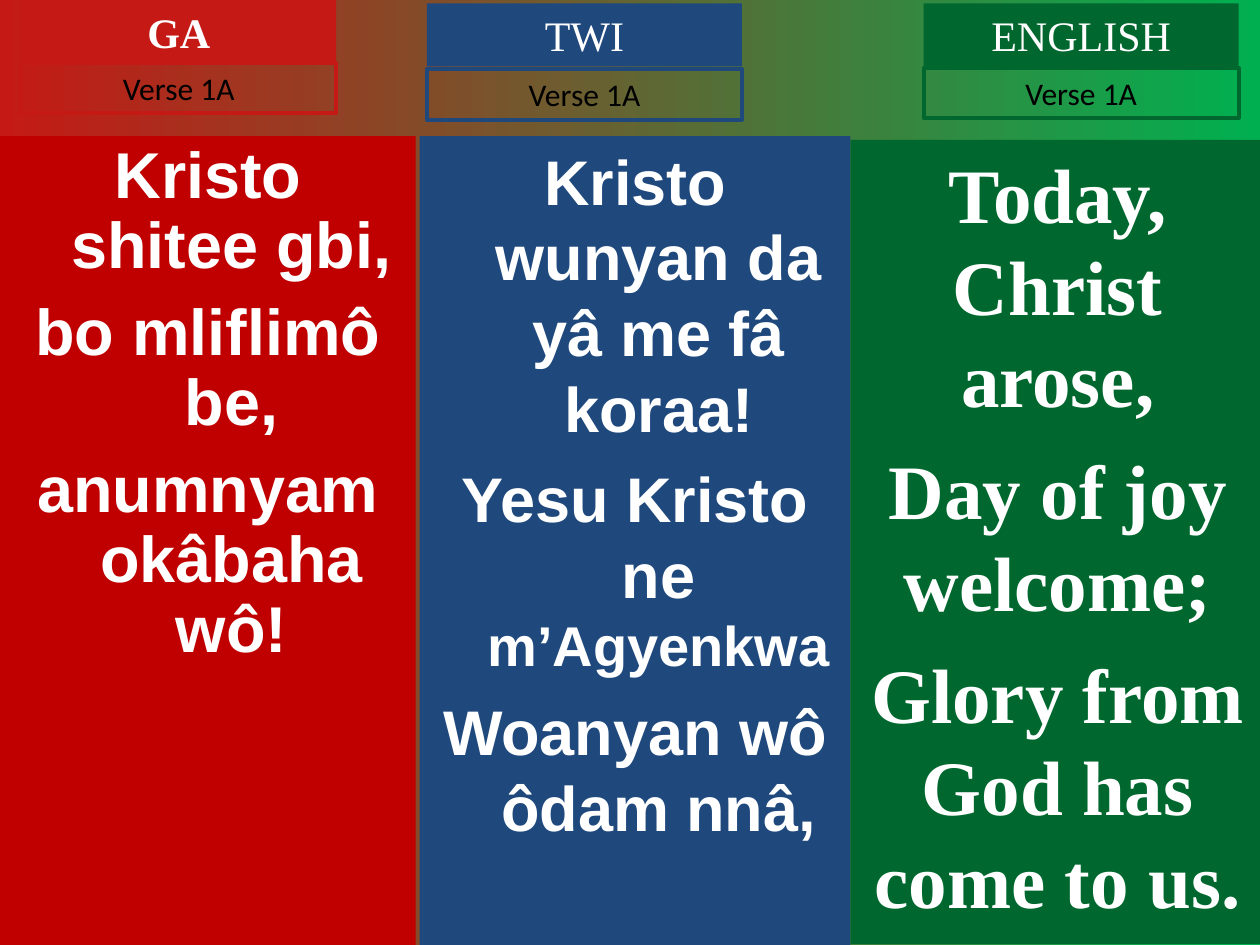
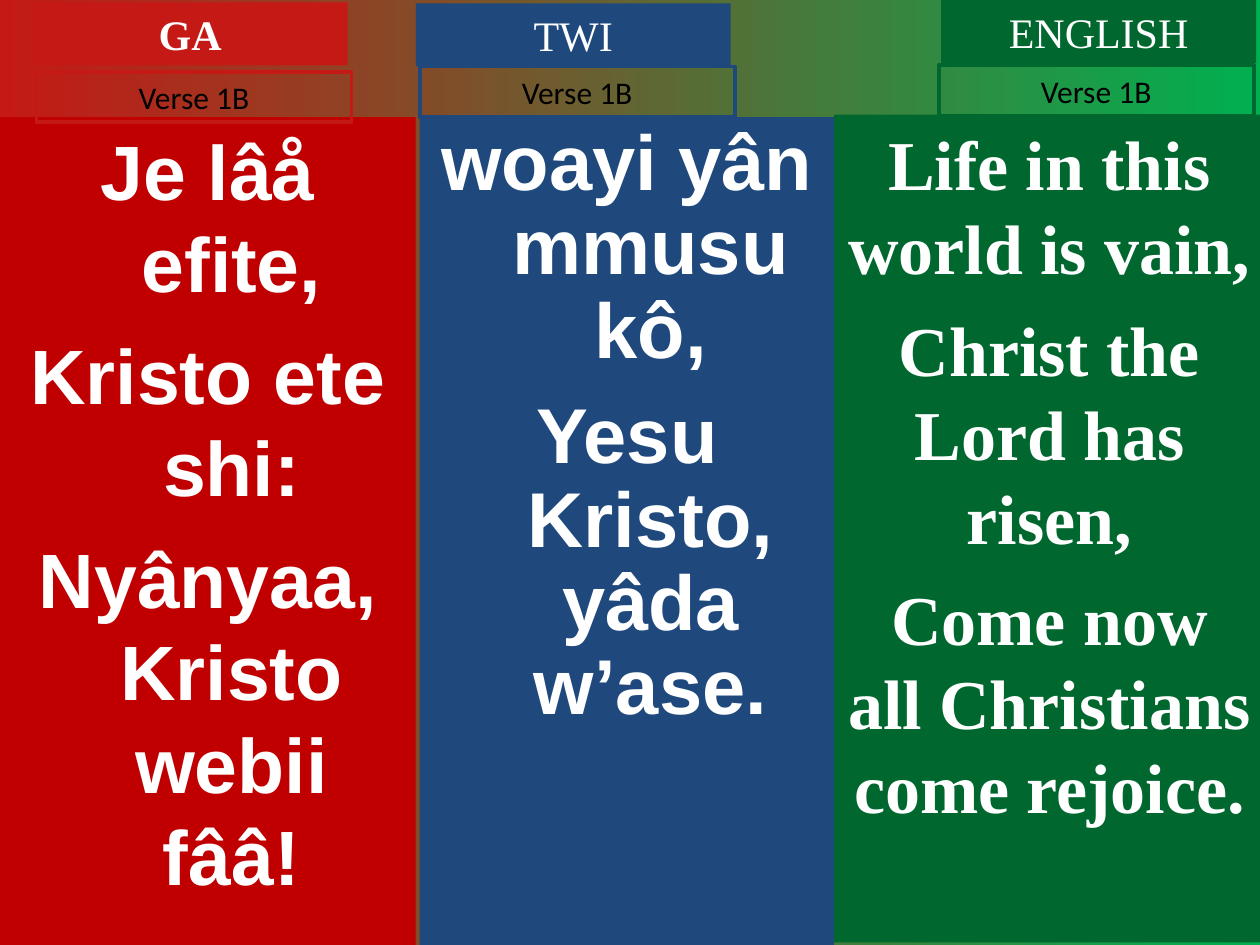
from dataclasses import dataclass
from pptx import Presentation
from pptx.dml.color import RGBColor
from pptx.enum.shapes import MSO_SHAPE
from pptx.enum.text import MSO_ANCHOR, MSO_AUTO_SIZE, PP_ALIGN
from pptx.util import Pt


# Shared colours, fonts and sizes
@dataclass(frozen=True)
class Theme:
    white: str = "FFFFFF"
    black: str = "000000"
    fade: tuple = ("C51915", "00B050")
    heading_font: str = "Times New Roman"
    verse_font: str = "Calibri"
    heading_size: float = 24
    verse_size: float = 18
    outline: float = 2.25
    hanging: float = 27
    tag_width: float = 180
    heading_height: float = 36
    verse_height: float = 28.8


@dataclass(frozen=True)
class Language:
    name: str
    panel_color: str
    tag_color: str
    lyric_font: str
    bold_name: bool = False
    hanging: bool = True


# One column of lyrics; places are in points
@dataclass(frozen=True)
class Column:
    panel: tuple
    heading_at: tuple
    verse_at: tuple
    size: float
    lines: tuple
    space_before: float
    line_spacing: float = 1.0


LANGUAGES = (
    Language("GA", "C00000", "C51915", "Arial", bold_name=True),
    Language("TWI", "1F497D", "1F497D", "Arial"),
    Language("ENGLISH", "00682F", "00682F", "Times New Roman", hanging=False),
)

# A line is a text, or a list of (text, size) spans
VERSES = {
    "Verse 1A": (
        Column((0, 77.8, 237.6, 462.2), (12.2, 0), (12.2, 36), 37,
               ("Kristo shitee gbi,", "bo mliflimô be,", "anumnyam okâbaha wô!"), 10, 0.9),
        Column((239.8, 77.8, 246.2, 462.2), (244, 2), (244, 39.6), 36,
               ("Kristo wunyan da yâ me fâ koraa!",
                [("Yesu Kristo ne ", 36), ("m’Agyenkwa", 32)],
                "Woanyan wô ôdam nnâ,"), 8.5),
        Column((486, 80, 236.9, 459.4), (527.8, 2), (527.8, 38.9), 44,
               ("Today, Christ arose,", "Day of joy welcome;",
                "Glory from God has come to us."), 11),
    ),
    "Verse 1B": (
        Column((0, 67, 237.6, 473), (18.7, 1.4), (20.9, 41), 44,
               ("Je lâå efite,", "Kristo ete shi:", "Nyânyaa, Kristo webii fââ!"), 11),
        Column((239.8, 67, 236.9, 473), (237.6, 2), (239.8, 38), 44.4,
               ("woayi yân mmusu kô,", "Yesu Kristo, yâda w’ase."), 12, 0.9),
        Column((476.6, 65.5, 246.2, 473), (537.8, 0), (536.4, 37.4), 40,
               ("Life in this world is vain,", "Christ the Lord has risen,",
                "Come now all Christians come rejoice."), 10),
    ),
}


def apply(target, values):
    for name, value in values.items():
        setattr(target, name, value)


class SongDeck:
    def __init__(self, theme):
        self.theme = theme
        self.deck = Presentation()
        apply(self.deck, {"slide_width": Pt(720), "slide_height": Pt(540)})
        self.page = None

    def add_page(self):
        self.page = self.deck.slides.add_slide(self.deck.slide_layouts[6])
        fill = self.page.background.fill
        fill.gradient()
        fill.gradient_angle = 0
        for position, (stop, color) in enumerate(zip(fill.gradient_stops, self.theme.fade)):
            stop.color.rgb = RGBColor.from_string(color)
            stop.position = position

    def add_box(self, place, fill=None, line=None, grow=False):
        box = self.page.shapes.add_shape(MSO_SHAPE.RECTANGLE, *map(Pt, place))
        box.shadow.inherit = False
        if fill:
            box.fill.solid()
            box.fill.fore_color.rgb = RGBColor.from_string(fill)
        else:
            box.fill.background()
        if line:
            box.line.color.rgb = RGBColor.from_string(line)
            box.line.width = Pt(self.theme.outline)
        else:
            box.line.fill.background()
        apply(box.text_frame, {
            "word_wrap": True, "vertical_anchor": MSO_ANCHOR.TOP,
            "auto_size": MSO_AUTO_SIZE.SHAPE_TO_FIT_TEXT if grow else MSO_AUTO_SIZE.NONE})
        return box

    def add_span(self, para, text, size, font, color, bold=False):
        span = para.add_run()
        span.text = text
        apply(span.font, {"size": Pt(size), "name": font, "bold": bold})
        span.font.color.rgb = RGBColor.from_string(color)

    def add_tag(self, at, height, text, size, font, color, bold=False, **look):
        box = self.add_box((*at, self.theme.tag_width, height), grow=True, **look)
        para = box.text_frame.paragraphs[0]
        para.alignment = PP_ALIGN.CENTER
        self.add_span(para, text, size, font, color, bold)

    def add_lyrics(self, column, language):
        frame = self.add_box(column.panel, fill=language.panel_color).text_frame
        for index, line in enumerate(column.lines):
            para = frame.add_paragraph() if index else frame.paragraphs[0]
            apply(para, {"alignment": PP_ALIGN.CENTER, "line_spacing": column.line_spacing,
                         "space_before": Pt(column.space_before if index else 0)})
            if language.hanging:
                properties = para._p.get_or_add_pPr()
                properties.set("marL", str(Pt(self.theme.hanging)))
                properties.set("indent", str(-Pt(self.theme.hanging)))
            spans = [(line, column.size)] if isinstance(line, str) else line
            for text, size in spans:
                self.add_span(para, text, size, language.lyric_font, self.theme.white, True)

    def add_column(self, column, language, verse):
        theme = self.theme
        self.add_lyrics(column, language)
        self.add_tag(column.heading_at, theme.heading_height, language.name,
                     theme.heading_size, theme.heading_font, theme.white,
                     language.bold_name, fill=language.tag_color)
        self.add_tag(column.verse_at, theme.verse_height, verse, theme.verse_size,
                     theme.verse_font, theme.black, line=language.tag_color)


def main():
    song = SongDeck(Theme())
    for verse, columns in VERSES.items():
        song.add_page()
        for column, language in zip(columns, LANGUAGES):
            song.add_column(column, language, verse)
    song.deck.save("out.pptx")


if __name__ == "__main__":
    main()
